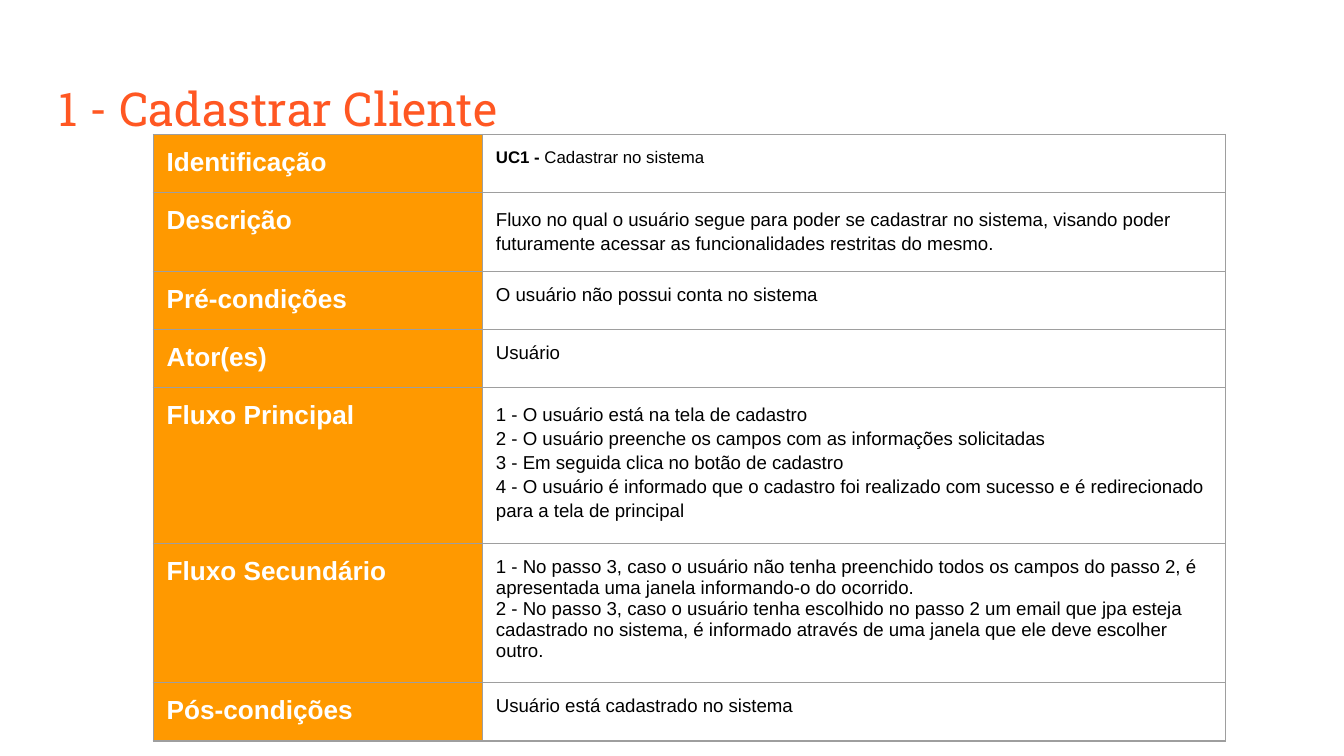
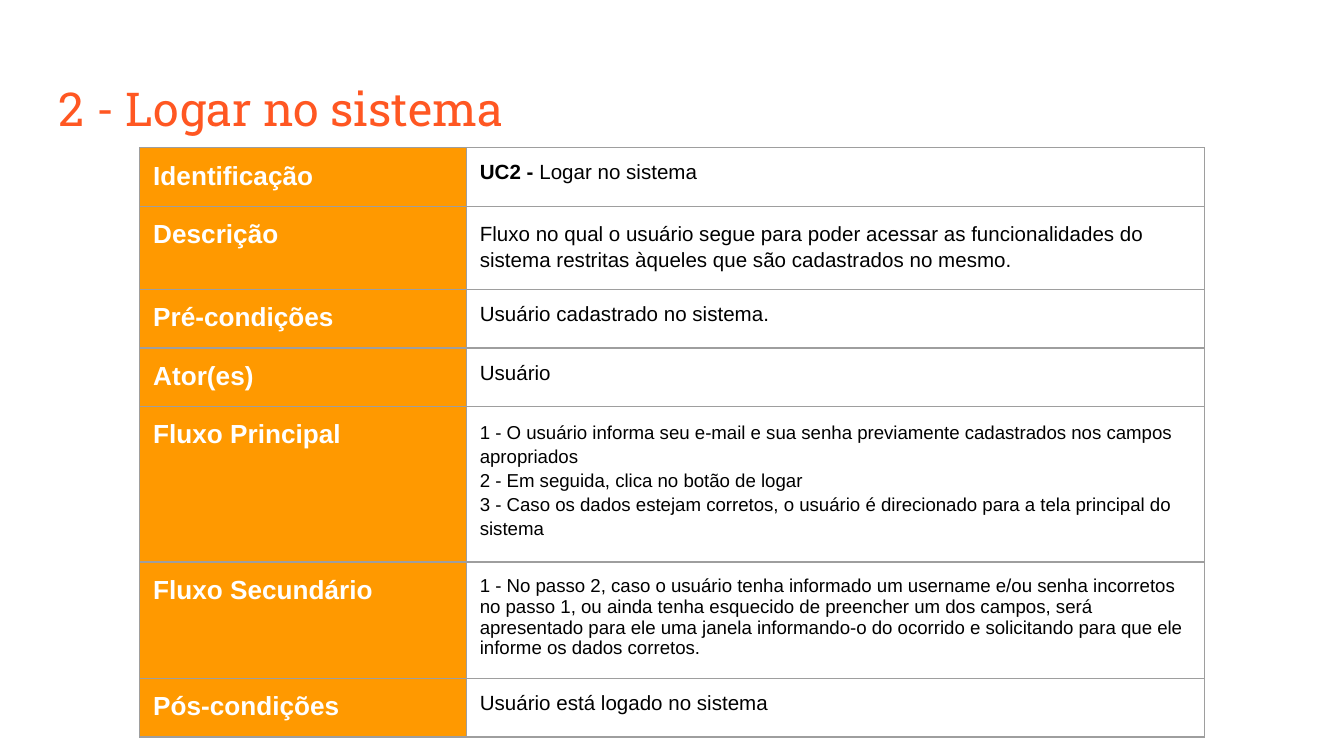
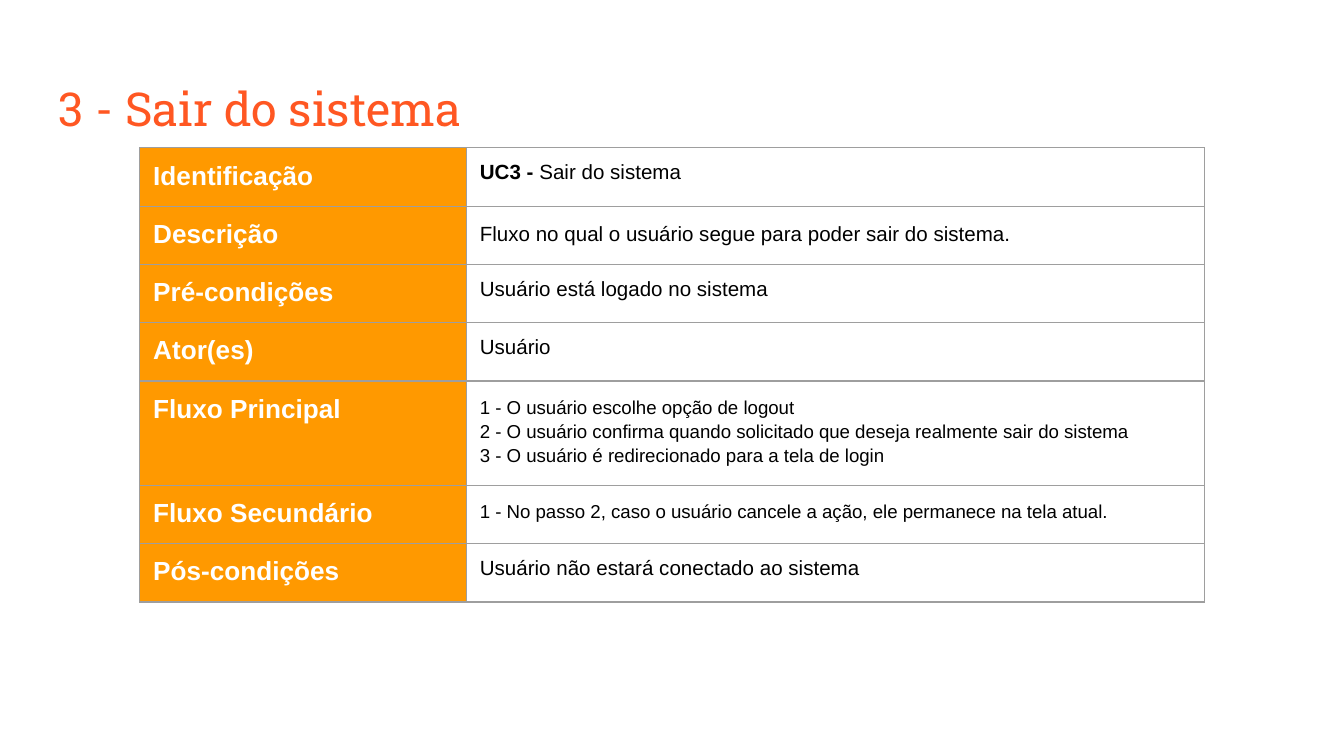
"""Build three use-case slides, each with a title and a specification table."""
from lxml import etree
from pptx import Presentation
from pptx.dml.color import RGBColor
from pptx.enum.text import MSO_ANCHOR
from pptx.oxml.ns import qn
from pptx.util import Inches, Pt

MIDDLE = MSO_ANCHOR.MIDDLE
TITLE_COLOR = RGBColor(0xFF, 0x57, 0x22)
LABEL_FILL = RGBColor(0xFF, 0x99, 0x00)
BORDER = RGBColor(0x9E, 0x9E, 0x9E)
WHITE = RGBColor(0xFF, 0xFF, 0xFF)
BLACK = RGBColor(0x00, 0x00, 0x00)
TITLE_FONT = "Roboto Slab"
BODY_FONT = "Arial"
INSET = Inches(0.1)
TABLE_SIDE = Inches(3.28)
LOOSE = 1.15

LABELS = ["Identificação", "Descrição", "Pré-condições", "Ator(es)",
          "Fluxo Principal", "Fluxo Secundário", "Pós-condições"]

USE_CASES = [
    {
        "title": "1 - Cadastrar Cliente",
        "code": "UC1 - ",
        "corner": (1.14, 1.0),
        "columns": (2.45, 5.53),
        "rows": (0.33, 0.56, 0.43, 0.33, 1.02, 0.93, 0.38),
        "sizes": (9, 10, 10, 10, 10, 10, 10),
        "loose_rows": (1, 4),
        "details": [
            ["Cadastrar no sistema"],
            ["Fluxo no qual o usuário segue para poder se cadastrar no sistema, visando poder "
             "futuramente acessar as funcionalidades restritas do mesmo."],
            ["O usuário não possui conta no sistema"],
            ["Usuário"],
            ["1 - O usuário está na tela de cadastro",
             "2 - O usuário preenche os campos com as informações solicitadas",
             "3 - Em seguida clica no botão de cadastro",
             "4 - O usuário é informado que o cadastro foi realizado com sucesso e é "
             "redirecionado para a tela de principal"],
            ["1 - No passo 3, caso o usuário não tenha preenchido todos os campos do passo 2, é "
             "apresentada uma janela informando-o do ocorrido.",
             "2 - No passo 3, caso o usuário tenha escolhido no passo 2 um email que jpa esteja "
             "cadastrado no sistema, é informado através de uma janela que ele deve escolher "
             "outro."],
            ["Usuário está cadastrado no sistema"],
        ],
    },
    {
        "title": "2 - Logar no sistema",
        "code": "UC2 - ",
        "corner": (1.04, 1.1),
        "columns": (2.43, 5.49),
        "rows": (0.42,) * 7,
        "sizes": (11, 11, 11, 11, 10, 10, 11),
        "loose_rows": (1, 4),
        "details": [
            ["Logar no sistema"],
            ["Fluxo no qual o usuário segue para poder acessar as funcionalidades do sistema "
             "restritas àqueles que são cadastrados no mesmo."],
            ["Usuário cadastrado no sistema."],
            ["Usuário"],
            ["1 - O usuário informa seu e-mail e sua senha previamente cadastrados nos campos "
             "apropriados",
             "2 - Em seguida, clica no botão de logar",
             "3 - Caso os dados estejam corretos, o usuário é direcionado para a tela principal "
             "do sistema"],
            ["1 - No passo 2, caso o usuário tenha informado um username e/ou senha incorretos "
             "no passo 1, ou ainda tenha esquecido de preencher um dos campos, será apresentado "
             "para ele uma janela informando-o do ocorrido e solicitando para que ele informe os "
             "dados corretos."],
            ["Usuário está logado no sistema"],
        ],
    },
    {
        "title": "3 - Sair do sistema",
        "code": "UC3 - ",
        "corner": (1.04, 1.1),
        "columns": (2.43, 5.49),
        "rows": (0.42,) * 7,
        "sizes": (11, 11, 11, 11, 10, 10, 11),
        "loose_rows": (1, 4, 5),
        "details": [
            ["Sair do sistema"],
            ["Fluxo no qual o usuário segue para poder sair do sistema."],
            ["Usuário está logado no sistema"],
            ["Usuário"],
            ["1 - O usuário escolhe opção de logout",
             "2 - O usuário confirma quando solicitado que deseja realmente sair do sistema",
             "3 - O usuário é redirecionado para a tela de login"],
            ["1 - No passo 2, caso o usuário cancele a ação, ele permanece na tela atual."],
            ["Usuário não estará conectado ao sistema"],
        ],
    },
]


def write(frame, lines, size, color, font=BODY_FONT, bold=False, spacing=None, lead=""):
    """Fill a text frame, one paragraph a line, with an optional bold lead-in."""
    for index, line in enumerate(lines):
        para = frame.paragraphs[0] if index == 0 else frame.add_paragraph()
        para.line_spacing = spacing
        spans = [(line, bold)]
        if lead and index == 0:
            spans.insert(0, (lead, True))
        for text, heavy in spans:
            span = para.add_run()
            span.text = text
            span.font.name = font
            span.font.size = Pt(size)
            span.font.bold = heavy
            span.font.color.rgb = color


def style_cell(cell, fill=None):
    """Set the insets, the four borders and the fill of a table cell."""
    cell.margin_left = cell.margin_right = cell.margin_top = cell.margin_bottom = INSET
    properties = cell._tc.get_or_add_tcPr()
    for side in ("a:lnL", "a:lnR", "a:lnT", "a:lnB"):
        line = etree.SubElement(properties, qn(side), w=str(Pt(0.75)))
        solid = etree.SubElement(line, qn("a:solidFill"))
        etree.SubElement(solid, qn("a:srgbClr"), val=str(BORDER))
    if fill is None:
        cell.fill.background()
    else:
        cell.fill.solid()
        cell.fill.fore_color.rgb = fill


deck = Presentation()
deck.slide_width = Inches(10)
deck.slide_height = Inches(10) * 9 // 16
blank = deck.slide_layouts[6]

for case in USE_CASES:
    page = deck.slides.add_slide(blank)
    page.background.fill.solid()
    page.background.fill.fore_color.rgb = WHITE

    box = page.shapes.add_textbox(Inches(0.34), Inches(0.49), Inches(9.32), Inches(0.63))
    frame = box.text_frame
    frame.word_wrap = True
    frame.vertical_anchor = MIDDLE
    frame.margin_left = frame.margin_right = frame.margin_top = frame.margin_bottom = INSET
    write(frame, [case["title"]], 25, TITLE_COLOR, font=TITLE_FONT)

    left, top = case["corner"]
    holder = page.shapes.add_table(
        len(LABELS), 2, Inches(left), Inches(top), TABLE_SIDE, TABLE_SIDE)
    table = holder.table
    table.first_row = False
    table.horz_banding = False
    for column, width in zip(table.columns, case["columns"]):
        column.width = Inches(width)

    for index, (label, lines) in enumerate(zip(LABELS, case["details"])):
        table.rows[index].height = Inches(case["rows"][index])
        label_cell, detail_cell = table.cell(index, 0), table.cell(index, 1)
        style_cell(label_cell, fill=LABEL_FILL)
        style_cell(detail_cell)
        write(label_cell.text_frame, [label], 14, WHITE, bold=True)
        write(detail_cell.text_frame, lines, case["sizes"][index], BLACK,
              spacing=LOOSE if index in case["loose_rows"] else None,
              lead=case["code"] if index == 0 else "")
    holder.width = holder.height = TABLE_SIDE

deck.save("out.pptx")
